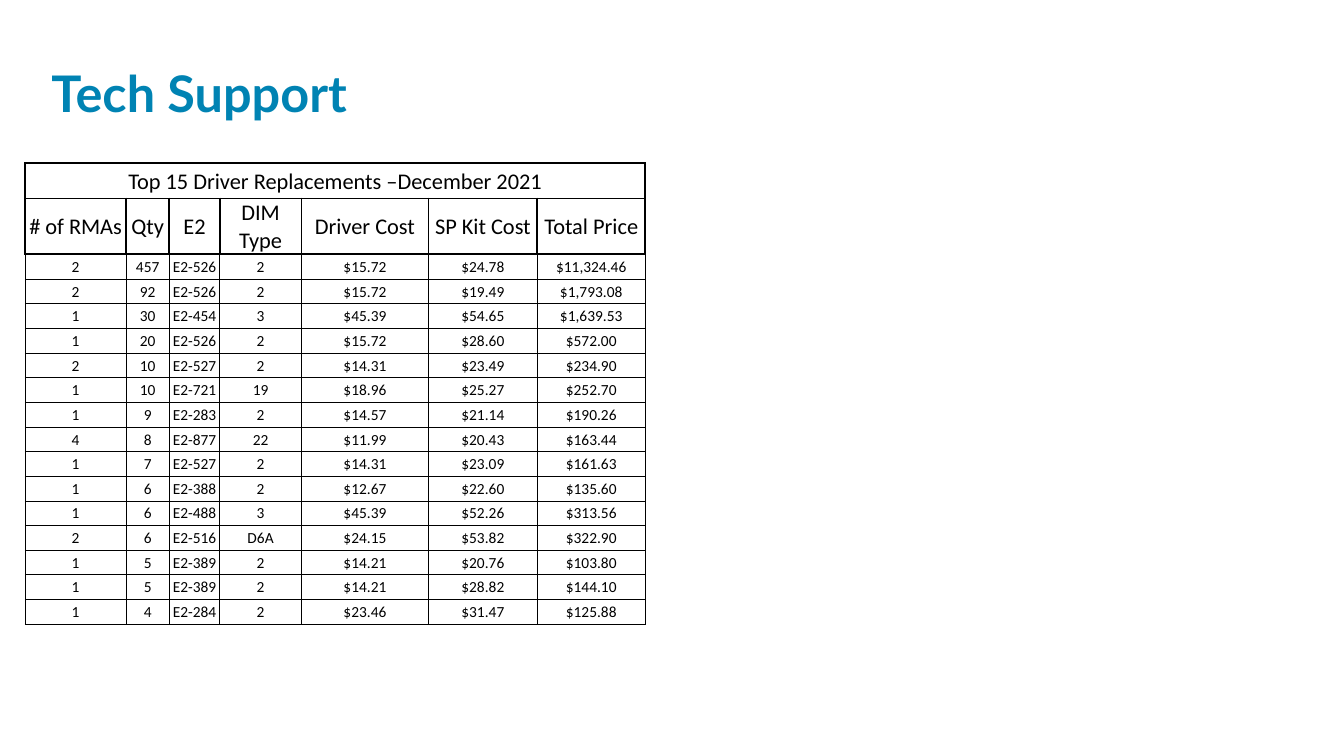
from dataclasses import dataclass

from lxml import etree
from pptx import Presentation
from pptx.dml.color import RGBColor
from pptx.enum.text import MSO_ANCHOR, MSO_AUTO_SIZE, PP_ALIGN
from pptx.oxml.ns import qn
from pptx.util import Inches, Pt

LEFT, CENTER = PP_ALIGN.LEFT, PP_ALIGN.CENTER
MIDDLE, BOTTOM = MSO_ANCHOR.MIDDLE, MSO_ANCHOR.BOTTOM
NO_AUTOFIT = MSO_AUTO_SIZE.NONE
TITLE_ONLY = 5


@dataclass(frozen=True)
class Theme:
    title_color: str = "0083B3"
    ink: str = "000000"
    title_font: str = "Lato"
    table_font: str = "Calibri"
    title_size: float = 36
    heading_size: float = 16
    body_size: float = 11
    thick: float = 1.5
    thin: float = 0.5


THEME = Theme()

CAPTION = "Top 15 Driver Replacements –December 2021"
HEADINGS = ["# of RMAs", "Qty", "E2", "DIM Type", "Driver Cost", "SP Kit Cost", "Total Price"]
REPLACEMENTS = [
    ["2", "457", "E2-526", "2", "$15.72", "$24.78", "$11,324.46"],
    ["2", "92", "E2-526", "2", "$15.72", "$19.49", "$1,793.08"],
    ["1", "30", "E2-454", "3", "$45.39", "$54.65", "$1,639.53"],
    ["1", "20", "E2-526", "2", "$15.72", "$28.60", "$572.00"],
    ["2", "10", "E2-527", "2", "$14.31", "$23.49", "$234.90"],
    ["1", "10", "E2-721", "19", "$18.96", "$25.27", "$252.70"],
    ["1", "9", "E2-283", "2", "$14.57", "$21.14", "$190.26"],
    ["4", "8", "E2-877", "22", "$11.99", "$20.43", "$163.44"],
    ["1", "7", "E2-527", "2", "$14.31", "$23.09", "$161.63"],
    ["1", "6", "E2-388", "2", "$12.67", "$22.60", "$135.60"],
    ["1", "6", "E2-488", "3", "$45.39", "$52.26", "$313.56"],
    ["2", "6", "E2-516", "D6A", "$24.15", "$53.82", "$322.90"],
    ["1", "5", "E2-389", "2", "$14.21", "$20.76", "$103.80"],
    ["1", "5", "E2-389", "2", "$14.21", "$28.82", "$144.10"],
    ["1", "4", "E2-284", "2", "$23.46", "$31.47", "$125.88"],
]
COLUMN_WIDTHS = [1, 0.43, 0.5, 0.81, 1.26, 1.08, 1.07]
HEADER_HEIGHTS = [0.35, 0.55]


def style_run(run, font, size, color, bold=False):
    run.font.name = font
    run.font.size = Pt(size)
    run.font.bold = bold
    run.font.color.rgb = RGBColor.from_string(color)


def set_borders(cell, widths):
    properties = cell._tc.get_or_add_tcPr()
    for position, (side, width) in enumerate(widths.items()):
        line = etree.Element(qn(f"a:ln{side}"), w=str(Pt(width)))
        fill = etree.SubElement(line, qn("a:solidFill"))
        etree.SubElement(fill, qn("a:srgbClr"), val=THEME.ink)
        properties.insert(position, line)


def fill_cell(cell, text, size, widths):
    cell.fill.background()
    set_borders(cell, widths)
    cell.vertical_anchor = MIDDLE
    cell.margin_left = cell.margin_right = cell.margin_top = Inches(0.01)
    cell.margin_bottom = 0
    cell.text_frame.text = text
    paragraph = cell.text_frame.paragraphs[0]
    paragraph.alignment = CENTER
    for run in paragraph.runs:
        style_run(run, THEME.table_font, size, THEME.ink)


def add_title(slide, left, top, width, height):
    title = slide.shapes.title
    title.left, title.top = Inches(left), Inches(top)
    title.width, title.height = Inches(width), Inches(height)
    frame = title.text_frame
    frame.text = "Tech Support"
    frame.word_wrap = True
    frame.auto_size = NO_AUTOFIT
    frame.vertical_anchor = BOTTOM
    paragraph = frame.paragraphs[0]
    paragraph.alignment = LEFT
    paragraph.line_spacing = 0.8
    style_run(paragraph.runs[0], THEME.title_font, THEME.title_size, THEME.title_color, True)


def add_replacements_table(slide, left, top, width, height):
    caption_row = [CAPTION] + [""] * (len(HEADINGS) - 1)
    rows = [caption_row, HEADINGS, *REPLACEMENTS]
    header_count = len(HEADER_HEIGHTS)
    table = slide.shapes.add_table(
        len(rows), len(HEADINGS), Inches(left), Inches(top), Inches(width), Inches(height)
    ).table
    table.first_row = table.horz_banding = False

    for column, share in zip(table.columns, COLUMN_WIDTHS):
        column.width = Inches(width * share / sum(COLUMN_WIDTHS))
    body_height = (height - sum(HEADER_HEIGHTS)) / len(REPLACEMENTS)
    row_heights = HEADER_HEIGHTS + [body_height] * len(REPLACEMENTS)
    for row, row_height in zip(table.rows, row_heights):
        row.height = Inches(row_height)

    table.cell(0, 0).merge(table.cell(0, len(HEADINGS) - 1))
    for row_index, values in enumerate(rows):
        is_header = row_index < header_count
        size = THEME.heading_size if is_header else THEME.body_size
        widths = dict.fromkeys("LRTB", THEME.thick if is_header else THEME.thin)
        if row_index == header_count:
            widths["T"] = THEME.thick
        for column_index, value in enumerate(values):
            fill_cell(table.cell(row_index, column_index), value, size, widths)


def main():
    presentation = Presentation()
    presentation.slide_width = Inches(13.33)
    presentation.slide_height = Inches(7.5)
    slide = presentation.slides.add_slide(presentation.slide_layouts[TITLE_ONLY])
    add_title(slide, 0.41, 0.17, 9.5, 1.09)
    add_replacements_table(slide, 0.25, 1.62, 6.15, 4.57)
    presentation.save("out.pptx")


if __name__ == "__main__":
    main()
